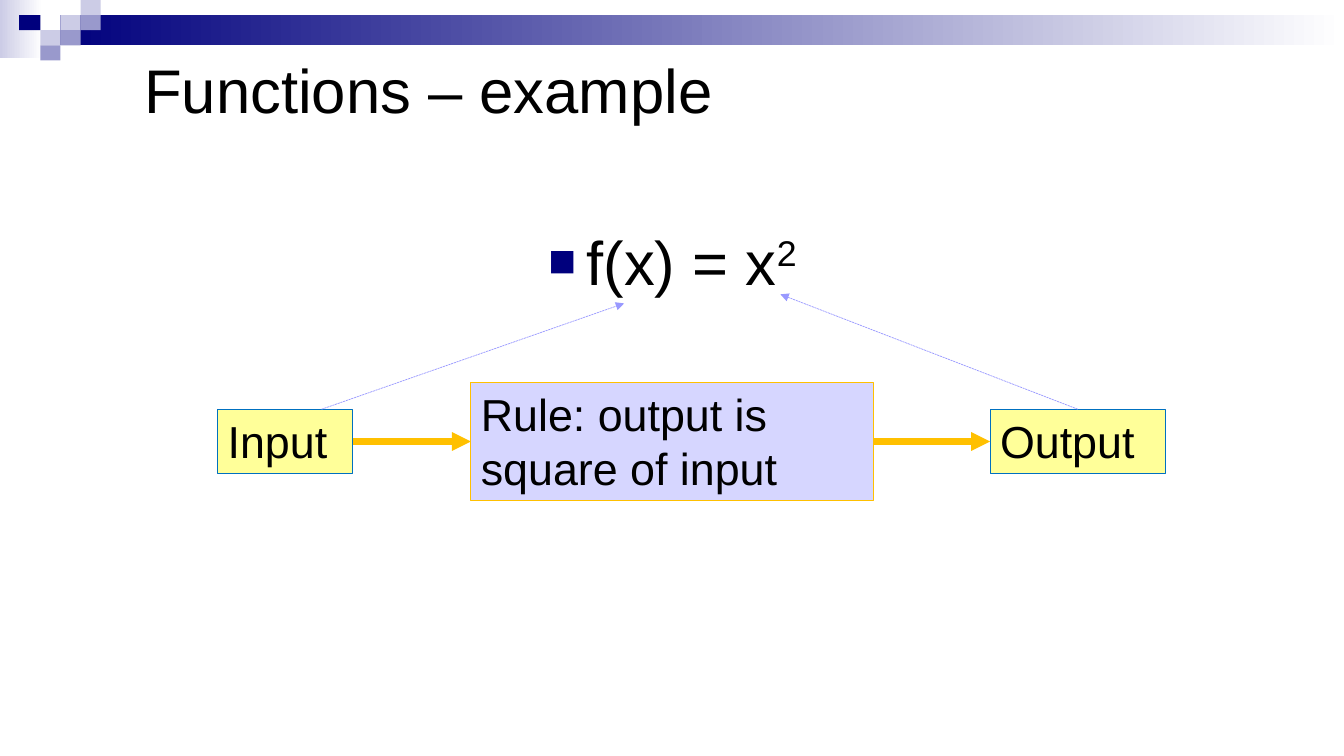
from dataclasses import dataclass
from typing import Any

from lxml import etree
from pptx import Presentation
from pptx.dml.color import RGBColor
from pptx.enum.dml import MSO_LINE
from pptx.enum.shapes import MSO_CONNECTOR, MSO_SHAPE
from pptx.enum.text import MSO_ANCHOR, MSO_AUTO_SIZE, PP_ALIGN
from pptx.oxml.ns import qn
from pptx.util import Inches, Pt

RECTANGLE = MSO_SHAPE.RECTANGLE
STRAIGHT = MSO_CONNECTOR.STRAIGHT
SHORT_DASH = MSO_LINE.SQUARE_DOT
LEFT, CENTER = PP_ALIGN.LEFT, PP_ALIGN.CENTER
TOP, MIDDLE = MSO_ANCHOR.TOP, MSO_ANCHOR.MIDDLE
FIXED_SIZE = MSO_AUTO_SIZE.NONE

NAVY, LILAC, MAUVE, WHITE = "00007D", "CCCCE6", "9999CC", "FFFFFF"
YELLOW, BLUE, AMBER, PERIWINKLE = "FFFF99", "0070C0", "FFC000", "9999FF"
FLOW_Y = 4.38


@dataclass
class Tile:
    left: float
    top: float
    width: float
    height: float
    color: str
    fade_to: str = ""


@dataclass
class Step:
    label: str
    left: float
    width: float
    height: float
    fill: str
    outline: str


@dataclass
class Arrow:
    start: tuple[float, float]
    end: tuple[float, float]
    color: str
    weight: float
    dashed: bool = False


TILES = [
    Tile(0, 0, 0.42, 0.58, LILAC, WHITE),
    Tile(0.6, 0.15, 12.73, 0.3, NAVY, WHITE),
    Tile(0.19, 0.15, 0.21, 0.15, NAVY),
] + [
    Tile(0.2 * column, 0.15 * row, 0.2, 0.15, color)
    for column, row, color in [
        (3, 1, LILAC), (4, 0, LILAC), (4, 1, MAUVE),
        (2, 2, LILAC), (3, 2, MAUVE), (2, 3, MAUVE),
    ]
]
STEPS = [
    Step("Input", 2.16, 1.34, 0.64, YELLOW, BLUE),
    Step("Rule: output is square of input", 4.67, 3.99, 1.18, "D6D6FF", AMBER),
    Step("Output", 9.82, 1.74, 0.64, YELLOW, BLUE),
]
ARROWS = [
    Arrow((before.left + before.width, FLOW_Y), (after.left, FLOW_Y), AMBER, 4.5)
    for before, after in zip(STEPS, STEPS[1:])
] + [
    Arrow((3.19, 4.06), (6.19, 3.01), PERIWINKLE, 0.5, True),
    Arrow((10.69, 4.06), (7.74, 2.92), PERIWINKLE, 0.5, True),
]


def rgb(value: str) -> RGBColor:
    return RGBColor.from_string(value)


def apply(target: Any, values: dict[str, Any]) -> None:
    for name, value in values.items():
        setattr(target, name, value)


def place(shape: Any, left: float, top: float, width: float, height: float) -> None:
    apply(shape, {"left": Inches(left), "top": Inches(top),
                  "width": Inches(width), "height": Inches(height)})


def write(shape: Any, text: str, size: float, anchor: Any, align: Any) -> Any:
    apply(shape.text_frame, {"word_wrap": True, "auto_size": FIXED_SIZE,
                             "vertical_anchor": anchor})
    para = shape.text_frame.paragraphs[0]
    para.alignment = align
    add_span(para, text, size)
    return para


def add_span(para: Any, text: str, size: float) -> Any:
    span = para.add_run()
    span.text = text
    apply(span.font, {"name": "Arial", "size": Pt(size)})
    span.font.color.rgb = rgb("000000")
    return span


def add_box(page: Any, left: float, top: float, width: float, height: float) -> Any:
    box = page.shapes.add_shape(RECTANGLE, Inches(left), Inches(top),
                                Inches(width), Inches(height))
    box.shadow.inherit = False
    return box


def draw_tile(page: Any, tile: Tile) -> None:
    box = add_box(page, tile.left, tile.top, tile.width, tile.height)
    box.line.fill.background()
    if tile.fade_to:
        box.fill.gradient()
        box.fill.gradient_angle = 0
        stops = zip(box.fill.gradient_stops, (tile.color, tile.fade_to), (0, 1))
        for stop, color, position in stops:
            stop.color.rgb = rgb(color)
            stop.position = position
    else:
        box.fill.solid()
        box.fill.fore_color.rgb = rgb(tile.color)


def draw_step(page: Any, step: Step) -> None:
    box = add_box(page, step.left, FLOW_Y - step.height / 2, step.width, step.height)
    box.fill.solid()
    box.fill.fore_color.rgb = rgb(step.fill)
    box.line.color.rgb = rgb(step.outline)
    box.line.width = Pt(0.75)
    write(box, step.label, 32, TOP, LEFT)


def draw_arrow(page: Any, arrow: Arrow) -> None:
    ends = [Inches(value) for value in arrow.start + arrow.end]
    connector = page.shapes.add_connector(STRAIGHT, *ends)
    connector.line.color.rgb = rgb(arrow.color)
    connector.line.width = Pt(arrow.weight)
    if arrow.dashed:
        connector.line.dash_style = SHORT_DASH
    properties = connector.element.spPr
    etree.SubElement(properties.find(qn("a:ln")), qn("a:tailEnd"), type="triangle")
    etree.SubElement(properties, qn("a:effectLst"))


def add_bullet(para: Any) -> None:
    properties = para._p.get_or_add_pPr()
    apply_indent = {"marL": Inches(0.38), "indent": Inches(-0.38)}
    for name, value in apply_indent.items():
        properties.set(name, str(int(value)))
    color = etree.SubElement(properties, qn("a:buClr"))
    etree.SubElement(color, qn("a:srgbClr"), val=NAVY)
    etree.SubElement(properties, qn("a:buSzPct"), val="75000")
    etree.SubElement(properties, qn("a:buFont"), typeface="Arial")
    etree.SubElement(properties, qn("a:buChar"), char="■")


def draw_formula(page: Any) -> None:
    box = page.shapes.add_textbox(0, 0, 0, 0)
    place(box, 0.67, 2.17, 12, 4.25)
    para = write(box, "f(x) = x", 44, TOP, CENTER)
    add_bullet(para)
    exponent = add_span(para, "2", 44)
    exponent._r.get_or_add_rPr().set("baseline", "30000")


def main() -> None:
    deck = Presentation()
    apply(deck, {"slide_width": Inches(13.33), "slide_height": Inches(7.5)})
    page = deck.slides.add_slide(deck.slide_layouts[5])
    for tile in TILES:
        draw_tile(page, tile)
    title = page.shapes.title
    place(title, 1.33, 0.09, 11, 1.59)
    write(title, "Functions – example", 44, MIDDLE, LEFT)
    draw_formula(page)
    for step in STEPS:
        draw_step(page, step)
    for arrow in ARROWS:
        draw_arrow(page, arrow)
    deck.save("out.pptx")


if __name__ == "__main__":
    main()
